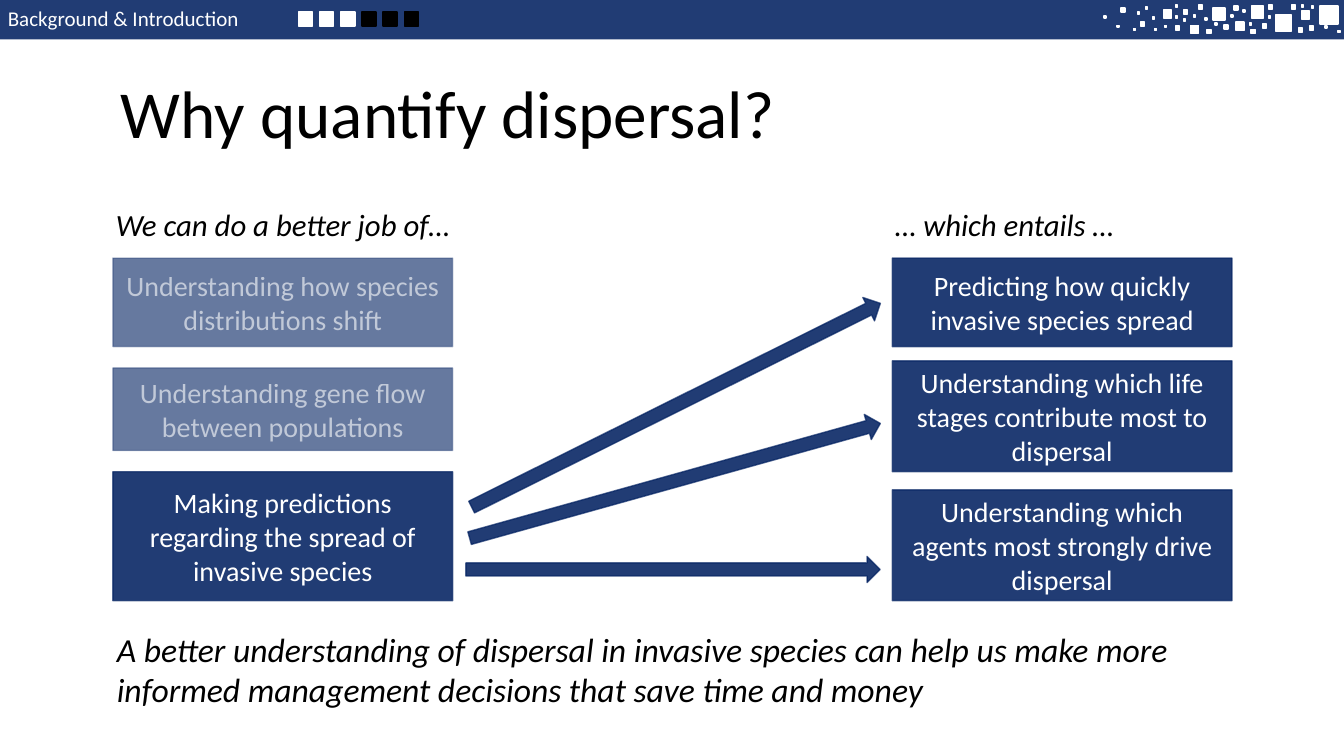
"""Build the slide that asks why dispersal should be quantified."""
from pptx import Presentation, util as u
from pptx.dml.color import RGBColor
from pptx.enum import shapes, text
from pptx.oxml.ns import qn
from lxml import etree

NAVY = RGBColor(0x00, 0x20, 0x60)
WHITE = RGBColor(0xFF, 0xFF, 0xFF)
BLACK = RGBColor(0x00, 0x00, 0x00)

DOTS = {
    18: [(1309, 6)],
    16: [(1265, 15)],
    12: [(1203, 8), (1241, 6)],
    8: [(1181, 25), (1154, 10), (1226, 22), (1291, 11)],
    4: [(1131, 22), (1112, 8), (1166, 26), (1174, 10), (1189, 5), (1197, 29),
        (1214, 25), (1241, 29), (1224, 6), (1252, 24), (1288, 28), (1281, 5),
        (1299, 26), (1258, 5)],
    2: [(1327, 30), (1291, 5), (1301, 6), (1258, 16), (1239, 23), (1233, 10),
        (1221, 15), (1205, 23), (1174, 19), (1184, 15), (1195, 18), (1095, 16),
        (1108, 25), (1124, 28), (1128, 12), (1136, 7), (1166, 5), (1166, 16),
        (1155, 25), (1145, 28), (1143, 17), (1314, 26)],
}


def px(length):
    return u.Emu(length * 9144)


def fade(root, query, opacity):
    for color in root.xpath(query):
        etree.SubElement(color, qn("a:alpha"), val=str(opacity * 1000))


def write(frame, words, size, color=BLACK, italic=False, align=text.PP_ALIGN.LEFT,
          anchor=text.MSO_ANCHOR.TOP, opacity=100):
    frame.word_wrap = True
    frame.vertical_anchor = anchor
    paragraph = frame.paragraphs[0]
    paragraph.alignment = align
    run = paragraph.add_run()
    run.text = words
    run.font.name = "Calibri"
    run.font.size = u.Pt(size)
    run.font.italic = italic
    run.font.color.rgb = color
    if opacity < 100:
        fade(paragraph._p, ".//a:srgbClr", opacity)


class DispersalSlide:
    """Hold the slide and its navy style, and draw each kind of element."""

    def __init__(self, deck):
        self.slide = deck.slides.add_slide(deck.slide_layouts[5])
        self.solid = (87, 65)
        self.dimmed = (60, 30)

    def title(self, words, left, top, width, height):
        heading = self.slide.shapes.title
        heading.left, heading.top = px(left), px(top)
        heading.width, heading.height = px(width), px(height)
        write(heading.text_frame, words, 48)
        heading.text_frame.auto_size = text.MSO_AUTO_SIZE.NONE

    def label(self, words, left, top, width, height, size, **style):
        caption = self.slide.shapes.add_textbox(px(left), px(top), px(width), px(height))
        write(caption.text_frame, words, size, **style)

    def block(self, left, top, width, height, color=NAVY, opacity=None,
              outlined=True, kind=shapes.MSO_SHAPE.RECTANGLE):
        block = self.slide.shapes.add_shape(kind, px(left), px(top), px(width), px(height))
        block.shadow.inherit = False
        block.fill.solid()
        block.fill.fore_color.rgb = color
        if outlined:
            block.line.color.rgb = color
            block.line.width = u.Pt(1)
        else:
            block.line.fill.background()
        if opacity:
            properties = block.element.spPr
            fade(properties, "./a:solidFill/a:srgbClr", opacity[0])
            fade(properties, "./a:ln/a:solidFill/a:srgbClr", opacity[1])
        return block

    def card(self, words, left, top, height, dimmed=False):
        card = self.block(left, top, 337, height,
                          opacity=self.dimmed if dimmed else self.solid)
        write(card.text_frame, words, 20, color=WHITE, align=text.PP_ALIGN.CENTER,
              anchor=text.MSO_ANCHOR.MIDDLE, opacity=60 if dimmed else 100)

    def arrow(self, left, top, width, rotation):
        arrow = self.block(left, top, width, 26, opacity=self.solid,
                           kind=shapes.MSO_SHAPE.RIGHT_ARROW)
        arrow.rotation = rotation

    def header(self, section, done, total):
        self.block(0, 0, 1333, 39, opacity=self.solid, outlined=False)
        self.label(section, -2, 1, 320, 35, 15, color=WHITE)
        for step in range(total):
            self.block(296 + 21 * step, 12, 14, 14, WHITE if step < done else BLACK)
        for side, places in DOTS.items():
            for left, top in places:
                self.block(left, top, side, side, WHITE)


def main():
    deck = Presentation()
    deck.slide_width, deck.slide_height = px(1333), px(750)
    page = DispersalSlide(deck)
    page.title("Why quantify dispersal?", 110, 66, 689, 91)

    goals = [
        ("Understanding how species distributions shift", 256, 88, True),
        ("Understanding gene flow between populations", 365, 82, True),
        ("Making predictions regarding the spread of invasive species", 468, 128, False),
    ]
    for words, top, height, dimmed in goals:
        page.card(words, 112, top, height, dimmed)

    needs = [
        ("Predicting how quickly invasive species spread", 256, 88),
        ("Understanding which life stages contribute most to dispersal", 358, 110),
        ("Understanding which agents most strongly drive dispersal", 486, 110),
    ]
    for words, top, height in needs:
        page.card(words, 885, top, height)

    page.label("We can do a better job of…", 105, 199, 375, 47, 22, italic=True)
    page.label("… which entails …", 878, 199, 375, 47, 22, italic=True)

    for left, top, width, rotation in [(462, 552, 411, 0), (458, 464, 423, 344.4),
                                       (444, 389, 453, 333.5)]:
        page.arrow(left, top, width, rotation)

    page.header("Background & Introduction", done=3, total=6)
    page.label("A better understanding of dispersal in invasive species can help us make more "
               "informed management decisions that save time and money",
               106, 619, 1149, 91, 24, italic=True)
    deck.save("out.pptx")


if __name__ == "__main__":
    main()
